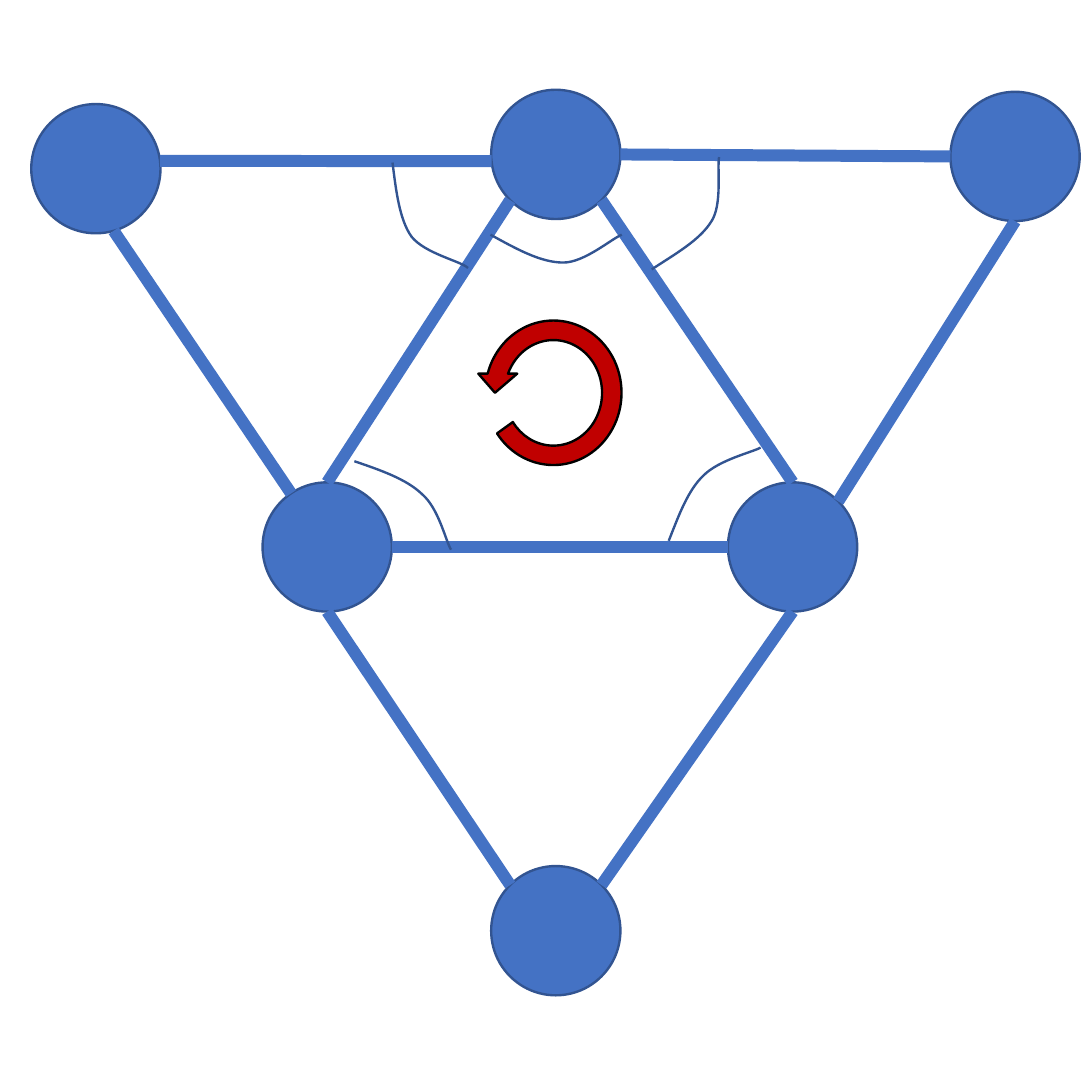
from dataclasses import dataclass
from math import cos, radians, sin

from pptx import Presentation
from pptx import util as u
from pptx.dml.color import RGBColor
from pptx.enum import shapes as kinds
from pptx.oxml import ns
from pptx.oxml.xmlchemy import OxmlElement


@dataclass(frozen=True)
class Theme:
    node: str = "4472C4"
    outline: str = "325491"
    rotation: str = "C00000"
    rotation_outline: str = "000000"
    thin: float = 1
    thick: float = 5


THEME = Theme()
DIAMETER = 1.9

# Centres of the nodes, in centimetres
NODES = {
    "top": (8.17, 2.27),
    "left": (4.81, 8.04),
    "right": (11.65, 8.04),
    "bottom": (8.17, 13.68),
    "outer left": (1.41, 2.48),
    "outer right": (14.92, 2.3),
}

# Node and angle on its rim (degrees clockwise from the right) at each end
EDGES = [
    ("top", 135, "left", 270),
    ("top", 45, "right", 270),
    ("right", 180, "left", 0),
    ("left", 90, "bottom", 225),
    ("bottom", 315, "right", 90),
    ("outer left", 74, "left", 236),
    ("top", 174, "outer left", -7),
    ("outer right", 90, "right", 315),
    ("outer right", 180, "top", 0),
]

# Start point, then two handles and an end point for each Bézier segment
ANGLE_MARKS = [
    [(7.21, 3.45), (7.59, 3.66), (7.95, 3.86), (8.28, 3.86),
     (8.59, 3.86), (8.99, 3.51), (9.14, 3.45)],
    [(5.21, 6.78), (5.59, 6.91), (5.97, 7.04), (6.2, 7.26),
     (6.45, 7.47), (6.55, 7.95), (6.63, 8.08)],
    [(9.83, 7.95), (9.98, 7.57), (10.11, 7.21), (10.34, 6.99),
     (10.57, 6.76), (11.05, 6.65), (11.18, 6.58)],
    [(5.77, 2.39), (5.82, 2.79), (5.87, 3.23), (6.05, 3.48),
     (6.25, 3.73), (6.78, 3.84), (6.88, 3.94)],
    [(9.58, 3.96), (9.93, 3.73), (10.29, 3.53), (10.46, 3.25),
     (10.62, 3), (10.54, 2.46), (10.57, 2.31)],
]


def set_line(item, color, width):
    item.line.color.rgb = RGBColor.from_string(color)
    item.line.width = u.Pt(width)


def set_fill(shape, color):
    shape.fill.solid()
    shape.fill.fore_color.rgb = RGBColor.from_string(color)
    shape.shadow.inherit = False


def rim(node, angle):
    """Return the point on a node's outline at the given angle."""
    x, y = NODES[node]
    turn = radians(angle)
    return (u.Cm(x + DIAMETER / 2 * cos(turn)),
            u.Cm(y + DIAMETER / 2 * sin(turn)))


def add_node(slide, x, y):
    node = slide.shapes.add_shape(
        kinds.MSO_SHAPE.OVAL, u.Cm(x - DIAMETER / 2), u.Cm(y - DIAMETER / 2),
        u.Cm(DIAMETER), u.Cm(DIAMETER))
    set_fill(node, THEME.node)
    set_line(node, THEME.outline, THEME.thin)


def add_edge(slide, start, start_angle, end, end_angle):
    edge = slide.shapes.add_connector(
        kinds.MSO_CONNECTOR.STRAIGHT, *rim(start, start_angle), *rim(end, end_angle))
    set_line(edge, THEME.node, THEME.thick)
    edge.element.spPr.append(OxmlElement("a:effectLst"))


def add_angle_mark(slide, points):
    """Draw an open curve, turning each three line segments into one Bézier."""
    start, *rest = [(u.Cm(x), u.Cm(y)) for x, y in points]
    builder = slide.shapes.build_freeform(*start)
    builder.add_line_segments(rest, close=False)
    mark = builder.convert_to_shape()
    segments = list(mark.element.iter(ns.qn("a:lnTo")))
    for first in range(0, len(segments), 3):
        curve = OxmlElement("a:cubicBezTo")
        segments[first].addprevious(curve)
        for segment in segments[first:first + 3]:
            curve.append(segment[0])
            segment.getparent().remove(segment)
    mark.fill.background()
    mark.shadow.inherit = False
    set_line(mark, THEME.outline, THEME.thin)


def add_rotation_arrow(slide):
    arrow = slide.shapes.add_shape(
        kinds.MSO_SHAPE.CIRCULAR_ARROW,
        u.Cm(6.99), u.Cm(4.57), u.Cm(2.29), u.Cm(2.41))
    for index, value in enumerate((0.125, 11.42, 204.58, 21.46, 0.125)):
        arrow.adjustments[index] = value
    arrow.element.spPr.find(ns.qn("a:xfrm")).set("flipH", "1")
    set_fill(arrow, THEME.rotation)
    set_line(arrow, THEME.rotation_outline, THEME.thin)


def main():
    deck = Presentation()
    deck.slide_width = deck.slide_height = u.Cm(16.05)
    slide = deck.slides.add_slide(deck.slide_layouts[6])
    for centre in NODES.values():
        add_node(slide, *centre)
    for edge in EDGES:
        add_edge(slide, *edge)
    for points in ANGLE_MARKS:
        add_angle_mark(slide, points)
    add_rotation_arrow(slide)
    deck.save("out.pptx")


if __name__ == "__main__":
    main()
